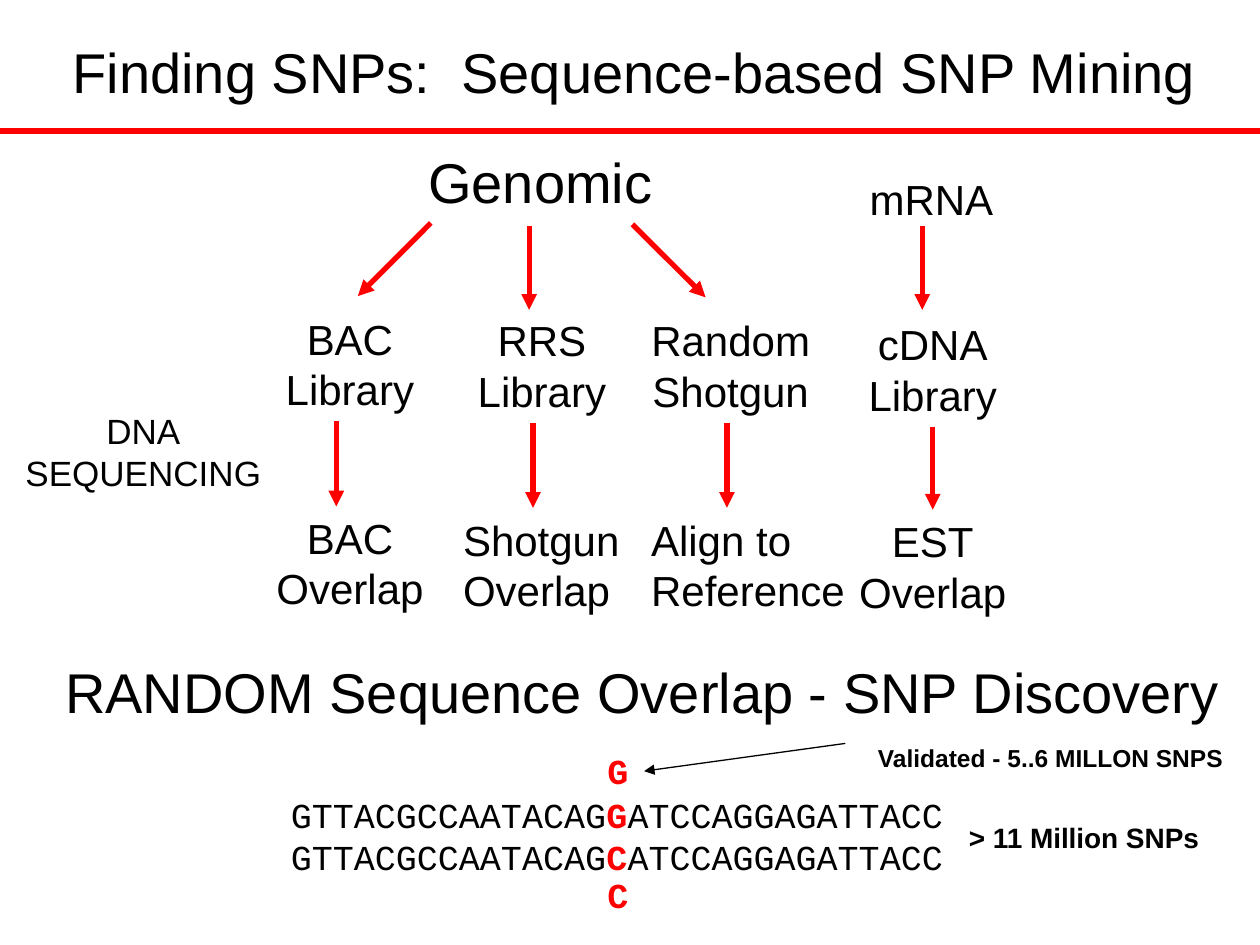
import pptx
import pptx.util
import pptx.dml.color
import pptx.enum.shapes
import pptx.enum.text
import pptx.oxml
import pptx.oxml.ns

Pt = pptx.util.Pt
RGB = pptx.dml.color.RGBColor
ALIGN = {"l": pptx.enum.text.PP_ALIGN.LEFT, "c": pptx.enum.text.PP_ALIGN.CENTER}

THEME = {
    "ink": RGB(0, 0, 0), "red": RGB(255, 0, 0),
    "sans": "Arial", "mono": "Courier New",
    "head": 32, "step": 24, "base": 20, "note": 16, "small": 14,
    "thick": 3, "thin": 0.75,
}

HEADS = [
    ("Finding SNPs:  Sequence-based SNP Mining", 34.4, 18, 657.6),
    ("RANDOM Sequence Overlap - SNP Discovery", 30.2, 372.2, 674.6),
    ("Genomic", 237.6, 80.6, 151.2),
]
# Each step: lines, left, top, width, alignment
FLOWS = [
    (192.2, (["BAC", "Library"], 156, 175.4, 88, "c"),
     (["BAC", "Overlap"], 150, 289.4, 100, "c")),
    (304.6, (["RRS", "Library"], 265.7, 176.4, 88, "c"),
     (["Shotgun", "Overlap"], 257.5, 290.2, 104, "l")),
    (415.4, (["Random", "Shotgun"], 365, 176.4, 105.1, "c"),
     (["Align to", "Reference"], 365, 290.2, 125.3, "l")),
    (None, (["cDNA", "Library"], 489, 178.6, 88, "c"),
     (["EST", "Overlap"], 483, 291.2, 100, "c")),
]
STARTS = [
    (246.2, 127.4, 204.5, 169.2),
    (302.4, 128.9, 302.4, 177.1),
    (361.4, 128.2, 403.2, 169.9),
    (527, 128.9, 527, 177.1),
]
LEFT, RIGHT = "GTTACGCCAATACAG", "ATCCAGGAGATTACC"
BASES = [("G", 424.8), ("C", 495.4)]
STEP_H = 65.2

deck = pptx.Presentation()
deck.slide_width, deck.slide_height = Pt(720), Pt(540)
slide = deck.slides.add_slide(deck.slide_layouts[6])


def label(lines, x, y, w, h, size, align="l", face="sans",
          tint="ink", bold=False, wrap=False):
    box = slide.shapes.add_textbox(Pt(x), Pt(y), Pt(w), Pt(h))
    frame = box.text_frame
    frame.word_wrap = wrap
    frame.auto_size = pptx.enum.text.MSO_AUTO_SIZE.SHAPE_TO_FIT_TEXT
    frame.text = "\n".join(lines)
    for para in frame.paragraphs:
        para.alignment = ALIGN[align]
        font = para.font
        font.name, font.size, font.bold = THEME[face], Pt(THEME[size]), bold
        font.color.rgb = THEME[tint]
    return box


def line(x1, y1, x2, y2, tint="red", width="thick", arrow=True):
    link = slide.shapes.add_connector(
        pptx.enum.shapes.MSO_CONNECTOR.STRAIGHT, Pt(x1), Pt(y1), Pt(x2), Pt(y2))
    link.line.color.rgb = THEME[tint]
    link.line.width = Pt(THEME[width])
    if arrow:
        tail = pptx.oxml.parse_xml(
            '<a:tailEnd %s type="triangle"/>' % pptx.oxml.ns.nsdecls("a"))
        link.line._get_or_add_ln().append(tail)
    link._element.spPr.append(pptx.oxml.parse_xml(
        "<a:effectLst %s/>" % pptx.oxml.ns.nsdecls("a")))
    return link


for text, x, y, w in HEADS:
    label([text], x, y, w, 46.1, "head")
line(0, 74.9, 720, 74.9, arrow=False)
label(["mRNA"], 489.8, 95.8, 85, 36, "step")
label(["DNA", "SEQUENCING"], 7.2, 230.4, 149.4, 55.4, "base", "c")

for ends in STARTS:
    line(*ends)

for shaft, first, last in FLOWS:
    upper, lower = [
        label(lines, x, y, w, STEP_H, "step", align)
        for lines, x, y, w, align in (first, last)]
    x = shaft or first[1] + first[3] / 2
    link = line(x, first[2] + STEP_H, x, last[2])
    if shaft is None:
        link.begin_connect(upper, 2)
        link.end_connect(lower, 0)

reads = label([LEFT, LEFT], 159.1, 450, 390, 55.4, "base", face="mono")
for para, (base, top) in zip(reads.text_frame.paragraphs, BASES):
    spot = para.add_run()
    spot.text = base
    spot.font.bold = True
    spot.font.color.rgb = THEME["red"]
    para.add_run().text = RIGHT

marks = [label([base], 340, top, 28.1, 31.7, "base", face="mono",
               tint="red", bold=True, wrap=True) for base, top in BASES]
call = line(483.1, 424.8, 368.1, 440.6, "ink", "thin")
call.end_connect(marks[0], 3)

label(["Validated - 5..6 MILLON SNPS"], 494.6, 421.2, 212.4, 24.5, "small", bold=True)
label(["> 11 Million SNPs"], 546.5, 465.1, 154.8, 26.6, "note", bold=True, wrap=True)

deck.save("out.pptx")
